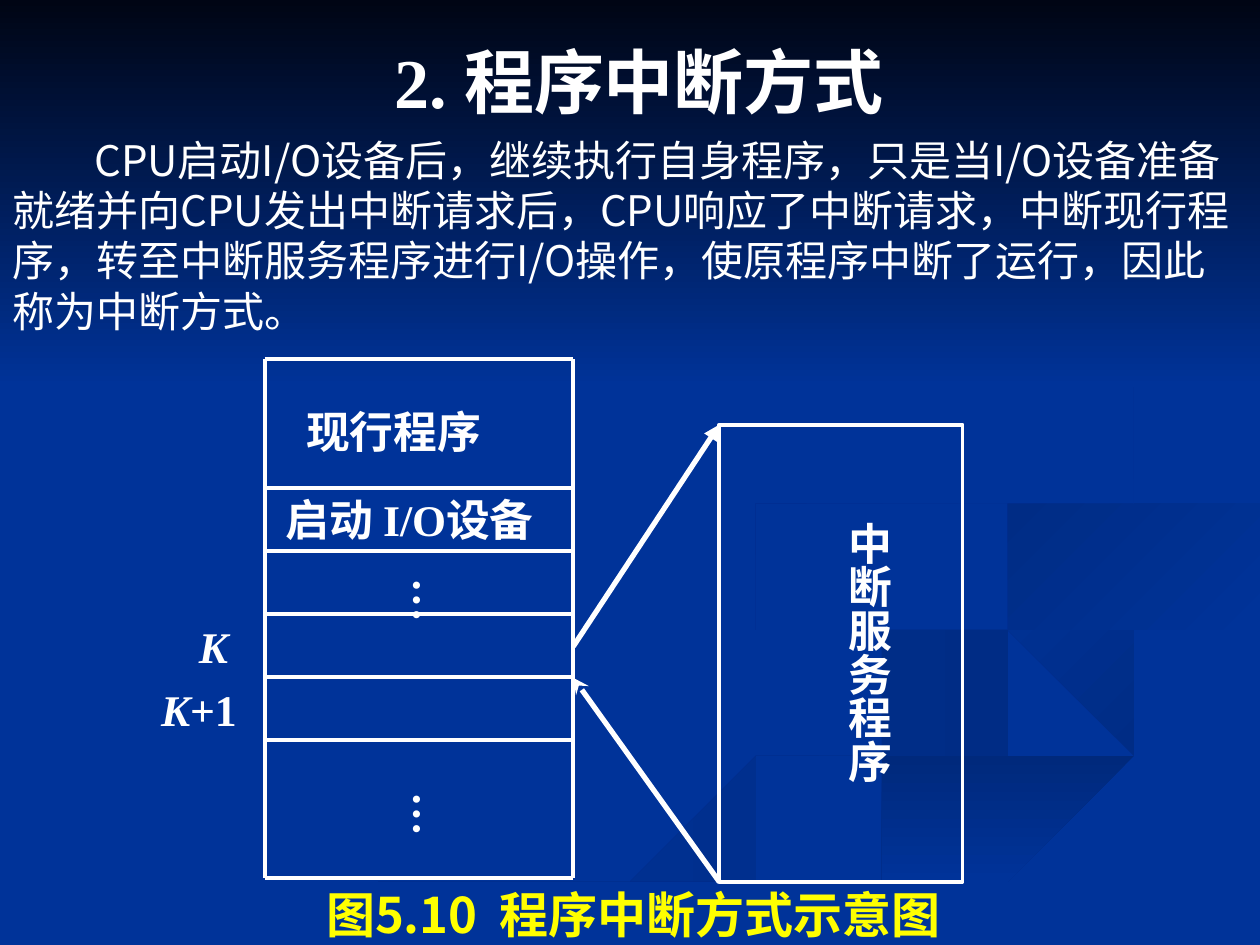
from itertools import accumulate
from math import hypot, pi, sin

from lxml import etree
from pptx import Presentation
from pptx.dml.color import RGBColor
from pptx.enum.shapes import MSO_CONNECTOR, MSO_SHAPE
from pptx.enum.text import MSO_ANCHOR, PP_ALIGN
from pptx.oxml.ns import qn
from pptx.util import Inches, Pt

STRAIGHT = MSO_CONNECTOR.STRAIGHT
RECTANGLE = MSO_SHAPE.RECTANGLE
TOP, MIDDLE = MSO_ANCHOR.TOP, MSO_ANCHOR.MIDDLE
LEFT, CENTER = PP_ALIGN.LEFT, PP_ALIGN.CENTER
WIDTH, HEIGHT = 10, 7.5
WHITE, YELLOW, NAVY, BLUE, SHADE = "FFFFFF", "FFFF00", "000514", "003399", "002C85"
SERIF, SANS = "Times New Roman", "Noto Sans CJK SC"
NORMAL_INSETS = (0.1, 0.05, 0.1, 0.05)
VERTICAL_INSETS = (0.05, 0.1, 0.05, 0.1)
ROW = 0.5
ROW_HEIGHTS = [1.02, ROW, ROW, ROW, ROW, 1.1]
CURVE_STEPS = 6

SWOOSHES = [
    (SHADE, BLUE, 180, 0.3, True,
     [(5.75, 4.62), (6.3, 5.04), (7.6, 5.45), (7.92, 5.8), (7, 6.2), (5, 6.75), (3.4, 7.4)]),
    (SHADE, BLUE, 225, 0.25, True,
     [(7.24, 4.64), (7.9, 5.17), (9, 5.5), (9.3, 5.78), (8.94, 6.05)]),
    ("00297C", BLUE, 90, 0.27, False, [(5.5, 7.35), (7.1, 6.75), (9.94, 5.95)]),
    (BLUE, SHADE, 225, 0.2, True, [(9.98, 4.11), (8.4, 4.4), (7.9, 4.65), (8.26, 4.96)]),
    (BLUE, SHADE, 225, 0.2, True,
     [(7.65, 2.35), (8.6, 2.87), (8.9, 3.4), (8.3, 3.9), (6.7, 4.23), (5.85, 4.6), (6.2, 4.98)]),
]


def color(value):
    """Turn a hex string into a colour."""
    return RGBColor.from_string(value)


def fill_gradient(shape, start, end, clockwise):
    """Fill a shape with a two-colour gradient and no outline."""
    shape.shadow.inherit = False
    shape.line.fill.background()
    shape.fill.gradient()
    shape.fill.gradient_angle = (360 - clockwise) % 360
    for stop, value, position in zip(shape.fill.gradient_stops, (start, end), (0, 1)):
        stop.color.rgb = color(value)
        stop.position = position


def smooth_curve(points):
    """Sample a Catmull-Rom curve through the points."""
    padded = [points[0], *points, points[-1]]
    curve = []
    for a, b, c, d in zip(padded, padded[1:], padded[2:], padded[3:]):
        for step in range(CURVE_STEPS):
            t = step / CURVE_STEPS
            curve.append(tuple(
                q + t * (r - p + t * (2 * p - 5 * q + 4 * r - s + t * (3 * (q - r) + s - p))) / 2
                for p, q, r, s in zip(a, b, c, d)))
    return [*curve, points[-1]]


def ribbon_outline(points, thickness, tapered):
    """Return the outline of a ribbon that follows the points."""
    curve = smooth_curve(points)
    last = len(curve) - 1
    one_side, other_side = [], []
    for index, (x, y) in enumerate(curve):
        before, after = curve[max(index - 1, 0)], curve[min(index + 1, last)]
        dx, dy = after[0] - before[0], after[1] - before[1]
        half = thickness / 2 * (sin(pi * index / last) if tapered else 1)
        shift = half / hypot(dx, dy)
        one_side.append((x - dy * shift, y + dx * shift))
        other_side.append((x + dy * shift, y - dx * shift))
    return one_side + other_side[::-1]


def add_text(slide, box, runs, size, font=SERIF, fill=WHITE, bold=True, anchor=TOP,
             align=LEFT, insets=NORMAL_INSETS, wrap=True, vertical=False, indent=0):
    """Write (text, italic) runs as one paragraph in a box."""
    frame = slide.shapes.add_textbox(*map(Inches, box)).text_frame
    frame.word_wrap = wrap
    frame.vertical_anchor = anchor
    (frame.margin_left, frame.margin_top,
     frame.margin_right, frame.margin_bottom) = map(Inches, insets)
    if vertical:
        frame._txBody.bodyPr.set("vert", "eaVert")
    paragraph = frame.paragraphs[0]
    paragraph.alignment = align
    if indent:
        paragraph._p.get_or_add_pPr().set("indent", str(Inches(indent)))
    for text, italic in runs:
        run = paragraph.add_run()
        run.text = text
        run.font.name = font
        run.font.size = Pt(size)
        run.font.bold = bold
        run.font.italic = italic
        run.font.color.rgb = color(fill)
        east_asian = etree.SubElement(run._r.get_or_add_rPr(), qn("a:ea"))
        east_asian.set("typeface", SANS)


def add_line(slide, start, end, width=2.25, arrow=None):
    """Draw a white line, with an optional arrowhead at its end."""
    line = slide.shapes.add_connector(STRAIGHT, *map(Inches, (*start, *end)))
    line.line.color.rgb = color(WHITE)
    line.line.width = Pt(width)
    if arrow:
        etree.SubElement(line.line._get_or_add_ln(), qn("a:tailEnd")).set("type", arrow)
    etree.SubElement(line._element.spPr, qn("a:effectLst"))


def add_background(slide, box):
    """Paint the blue ground, its swooshes and the dark band at the top."""
    left, top, width, height = box
    slide.background.fill.solid()
    slide.background.fill.fore_color.rgb = color(BLUE)
    for start, end, angle, thickness, tapered, points in SWOOSHES:
        outline = ribbon_outline(points, thickness, tapered)
        builder = slide.shapes.build_freeform(*outline[0], scale=Inches(1))
        builder.add_line_segments(outline[1:], close=True)
        fill_gradient(builder.convert_to_shape(Inches(left), Inches(top)), start, end, angle)
    band = slide.shapes.add_shape(RECTANGLE, *map(Inches, (left, top, width, 0.41 * height)))
    fill_gradient(band, NAVY, BLUE, 90)


def add_program(slide, box):
    """Draw the running program as a column of memory rows with labels."""
    left, top, width, height = box
    right, bottom = left + width, top + height
    edges = list(accumulate(ROW_HEIGHTS, initial=top))
    for y in edges:
        add_line(slide, (left, y), (right, y))
    for x in (left, right):
        add_line(slide, (x, top), (x, bottom))
    add_text(slide, (left, top + 0.32, width, ROW), [("现行程序", False)], 25,
             anchor=MIDDLE, insets=(0.33, 0, 0.1, 0))
    add_text(slide, (left + 0.07, edges[1], width, ROW), [("启动 I/O设备", False)], 25,
             anchor=MIDDLE, insets=(0.1, 0, 0, 0))
    for y in (edges[2] + 0.12, edges[5] + 0.32):
        add_text(slide, (left + 0.97, y, 0.61, 0.45), [("…", False)], 25,
                 insets=VERTICAL_INSETS, wrap=False, vertical=True)
    add_text(slide, (left - 0.62, edges[3], 0.43, ROW), [("K", True)], 25, wrap=False)
    add_text(slide, (left - 0.92, edges[4], 0.8, ROW), [("K", True), ("+1", False)], 25,
             wrap=False)


def add_service_routine(slide, box):
    """Draw the interrupt service routine as a labelled block."""
    left, top, width, _ = box
    block = slide.shapes.add_shape(RECTANGLE, *map(Inches, box))
    block.shadow.inherit = False
    block.fill.background()
    block.line.color.rgb = color(WHITE)
    block.line.width = Pt(2.25)
    add_text(slide, (left + 0.43 * width, top + 0.67, 0.61, 2.18), [("中断服务程序", False)],
             25, insets=VERTICAL_INSETS, wrap=False, vertical=True)


def add_diagram(slide, program, routine):
    """Place both blocks and the arrows to the routine and back."""
    add_program(slide, program)
    add_service_routine(slide, routine)
    program_right = program[0] + program[2]
    left, top, _, height = routine
    add_line(slide, (program_right, 5.13), (left, top), 3, "triangle")
    add_line(slide, (left, top + height), (program_right, 5.38), 3, "stealth")


def main():
    """Build the slide and save it."""
    presentation = Presentation()
    presentation.slide_width, presentation.slide_height = Inches(WIDTH), Inches(HEIGHT)
    slide = presentation.slides.add_slide(presentation.slide_layouts[6])
    add_background(slide, (0, 0, WIDTH, HEIGHT))
    add_text(slide, (3.03, 0.26, 4.29, 0.77), [("2. 程序中断方式", False)], 40)
    body = ("CPU启动I/O设备后，继续执行自身程序，只是当I/O设备准备就绪并向CPU发出中断请求后，"
            "CPU响应了中断请求，中断现行程序，转至中断服务程序进行I/O操作，使原程序中断了运行，"
            "因此称为中断方式。")
    add_text(slide, (0, 0.98, WIDTH, 1.77), [(body, False)], 24, SANS, bold=False,
             anchor=MIDDLE, indent=0.65)
    add_diagram(slide, (2.1, 2.85, 2.45, sum(ROW_HEIGHTS)), (5.71, 3.37, 1.93, 3.63))
    add_text(slide, (1.83, 6.97, 6.39, 0.57), [("图5.10  程序中断方式示意图", False)], 28,
             SANS, YELLOW, align=CENTER)
    presentation.save("out.pptx")


if __name__ == "__main__":
    main()
